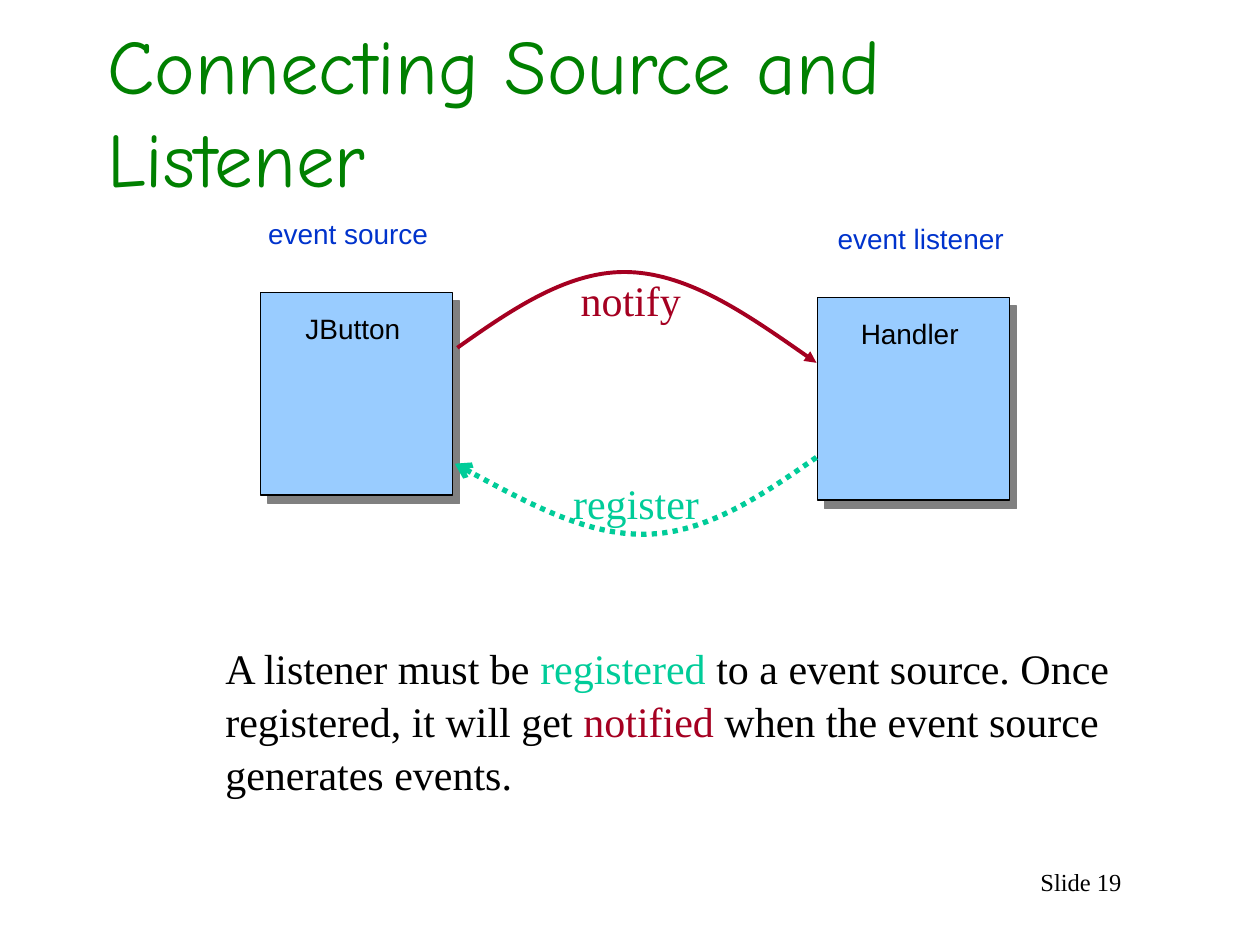
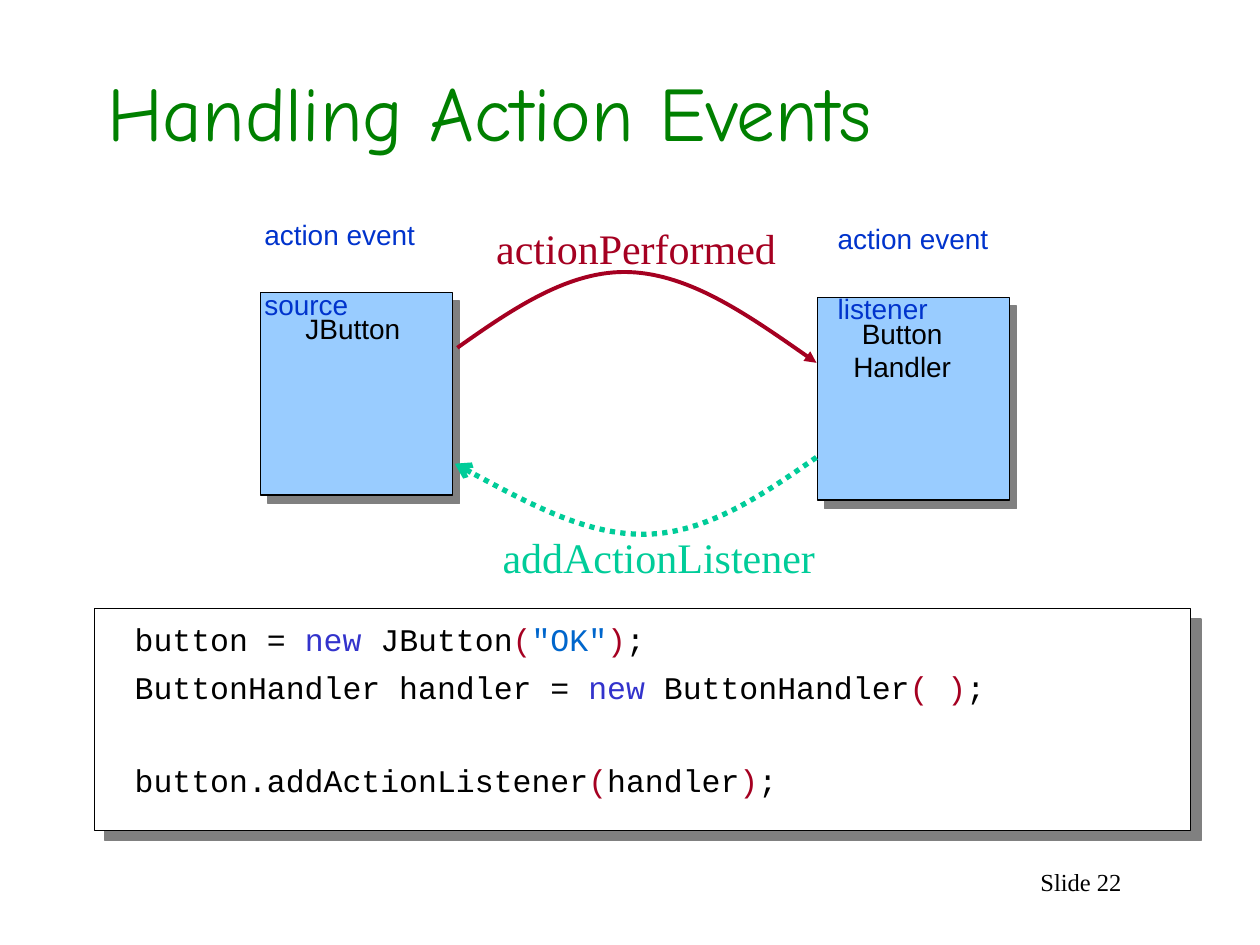
from dataclasses import dataclass
from lxml import etree
from pptx import Presentation
from pptx import util as u
from pptx.dml import color as dml
from pptx.enum import dml as line, shapes, text
from pptx.oxml import ns


@dataclass(frozen=True)
class Theme:
    black: str = "000000"
    white: str = "FFFFFF"
    green: str = "008000"
    sky: str = "99CCFF"
    blue: str = "0033CC"
    red: str = "A50021"
    teal: str = "00CC99"
    gray: str = "808080"
    key: str = "3333CC"
    quote: str = "0066CC"
    head: str = "Comic Neue"
    serif: str = "Times New Roman"
    sans: str = "Arial"
    mono: str = "Courier New"
    title: int = 44
    body: int = 24
    code: int = 18
    label: int = 16
    foot: int = 14


THEME = Theme()


def rgb(code):
    return dml.RGBColor.from_string(code)


def add_node(parent, tag, **attrs):
    node = etree.SubElement(parent, ns.qn(tag))
    for name, value in attrs.items():
        node.set(name, str(value))
    return node


def write(frame, paras, font=THEME.sans, size=THEME.label, color=THEME.black,
          align=text.PP_ALIGN.LEFT, anchor=text.MSO_ANCHOR.TOP,
          pitch=1.0, gaps=()):
    """Fill a frame; a run is a string or a (string, colour) pair.

    gaps holds the space before each paragraph after the first, in points.
    """
    frame.word_wrap = True
    frame.auto_size = text.MSO_AUTO_SIZE.NONE
    frame.vertical_anchor = anchor
    for i, runs in enumerate(paras):
        para = frame.paragraphs[0] if i == 0 else frame.add_paragraph()
        para.alignment = align
        para.line_spacing = pitch
        if i and gaps:
            para.space_before = u.Pt(gaps[i - 1])
        for item in runs:
            words, tint = (item, color) if isinstance(item, str) else item
            run = para.add_run()
            run.text = words
            run.font.name = font
            run.font.size = u.Pt(size)
            run.font.color.rgb = rgb(tint)


class Deck:
    def __init__(self, theme):
        self.theme = theme
        self.file = Presentation()
        self.file.slide_width = u.Inches(10)
        self.file.slide_height = u.Inches(7.5)
        self.slide = None

    def start(self, title, number):
        t = self.theme
        self.slide = self.file.slides.add_slide(self.file.slide_layouts[5])
        head = self.slide.shapes.title
        head.left, head.top = u.Inches(0.75), u.Inches(0.5)
        head.width, head.height = u.Inches(8.5), u.Inches(0.75)
        write(head.text_frame, [[title]], font=t.head, size=t.title,
              color=t.green, anchor=text.MSO_ANCHOR.MIDDLE)
        self.note([[f"Slide {number}"]], 6.92, 6.83, 2.08, 0.5,
                  font=t.serif, size=t.foot, align=text.PP_ALIGN.RIGHT)

    def note(self, paras, x, y, w, h, **style):
        box = self.slide.shapes.add_textbox(
            u.Inches(x), u.Inches(y), u.Inches(w), u.Inches(h))
        write(box.text_frame, paras, **style)

    def speak(self, paras, x, y, w, h, **style):
        """Add text in the large serif style."""
        self.note(paras, x, y, w, h, font=self.theme.serif,
                  size=self.theme.body, pitch=1.05, **style)

    def block(self, x, y, w, h, fill, dist, angle):
        """Add a box with a hard shadow; dist is in points."""
        box = self.slide.shapes.add_shape(
            shapes.MSO_SHAPE.RECTANGLE,
            u.Inches(x), u.Inches(y), u.Inches(w), u.Inches(h))
        box.fill.solid()
        box.fill.fore_color.rgb = rgb(fill)
        box.line.color.rgb = rgb(self.theme.black)
        box.line.width = u.Pt(0.75)
        box.shadow.inherit = False
        effects = box.element.spPr.find(ns.qn("a:effectLst"))
        shade = add_node(effects, "a:outerShdw", blurRad=0, dist=u.Pt(dist),
                         dir=angle * 60000, algn="ctr", rotWithShape=0)
        add_node(shade, "a:srgbClr", val=self.theme.gray)

    def node(self, name, x, y, shift):
        """Add a class box, its name centred and moved by shift."""
        self.block(x, y, 1.52, 1.61, self.theme.sky, 6.4, 51)
        self.note([[part] for part in name], x + shift, y + 0.1, 1.52, 0.64,
                  align=text.PP_ALIGN.CENTER)

    def curve(self, points, color, width, tip, dash=None):
        """Draw an arrow along cubic curves given by their control points."""
        first, *rest = [(u.Inches(x), u.Inches(y)) for x, y in points]
        pen = self.slide.shapes.build_freeform(*first)
        pen.add_line_segments(rest, close=False)
        arc = pen.convert_to_shape()
        track = next(arc.element.iter(ns.qn("a:path")))
        legs = track.findall(ns.qn("a:lnTo"))
        for trio in zip(legs[::3], legs[1::3], legs[2::3]):
            bend = add_node(track, "a:cubicBezTo")
            for leg in trio:
                bend.append(leg[0])
                track.remove(leg)
        arc.fill.background()
        arc.shadow.inherit = False
        arc.line.color.rgb = rgb(color)
        arc.line.width = u.Pt(width)
        if dash:
            arc.line.dash_style = dash
        add_node(arc.element.spPr.find(ns.qn("a:ln")), "a:tailEnd", type=tip)

    def graph(self, source, target, call, reply):
        """Draw two class boxes joined by a call and a reply arrow."""
        t = self.theme
        self.node(*source)
        self.node(*target)
        self.curve([(3.63, 2.76), (4.07, 2.45), (4.52, 2.14), (5, 2.16),
                    (5.48, 2.18), (5.98, 2.53), (6.48, 2.88)],
                   t.red, 2.25, "triangle")
        self.curve([(6.48, 3.63), (6.05, 3.93), (5.61, 4.23), (5.13, 4.24),
                    (4.66, 4.25), (4.13, 3.96), (3.61, 3.68)],
                   t.teal, 3, "arrow", line.MSO_LINE.ROUND_DOT)
        for (word, x, y), color in ((call, t.red), (reply, t.teal)):
            self.speak([[word]], x, y, 3, 0.5, color=color)

    def tag(self, lines, x, y):
        self.note([[part] for part in lines], x, y, 1.76, 0.64,
                  color=self.theme.blue, gaps=[20.5])

    def code(self, lines, gaps):
        self.block(0.75, 4.83, 8.7, 1.76, self.theme.white, 8.5, 45)
        self.note(lines, 0.97, 4.93, 8.38, 1.51, font=self.theme.mono,
                  size=self.theme.code, pitch=0.8, gaps=gaps)


def link_slide(deck):
    t = deck.theme
    deck.start("Connecting Source and Listener", 19)
    deck.graph((["JButton"], 2.07, 2.32, -0.03),
               (["Handler"], 6.49, 2.36, -0.03),
               ("notify", 4.51, 2.11), ("register", 4.45, 3.72))
    deck.tag(["event source"], 2.03, 1.67)
    deck.tag(["event listener"], 6.55, 1.71)
    deck.speak([
        ["A listener must be ", ("registered", t.teal),
         " to a event source. Once"],
        ["registered, it will get ", ("notified", t.red),
         " when the event source"],
        ["generates events."],
    ], 1.69, 5.03, 7.5, 1.3)


def event_slide(deck):
    t = deck.theme
    left, right, new = ("(", t.red), (")", t.red), ("new", t.key)
    deck.start("Handling Action Events", 22)
    deck.graph((["JButton"], 2.07, 2.32, -0.03),
               (["Button", "Handler"], 6.49, 2.36, -0.09),
               ("actionPerformed", 3.84, 1.7),
               ("addActionListener", 3.89, 4.15))
    deck.tag(["action event", "source"], 2, 1.68)
    deck.tag(["action event", "listener"], 6.55, 1.71)
    deck.code([
        ["button = ", new, " JButton", left, ('"OK"', t.quote), right, ";"],
        ["ButtonHandler handler = ", new, " ButtonHandler",
         ("( )", t.red), ";"],
        ["button.addActionListener", left, "handler", right, ";"],
    ], gaps=[10, 36])


def main():
    deck = Deck(THEME)
    link_slide(deck)
    event_slide(deck)
    deck.file.save("out.pptx")


if __name__ == "__main__":
    main()
